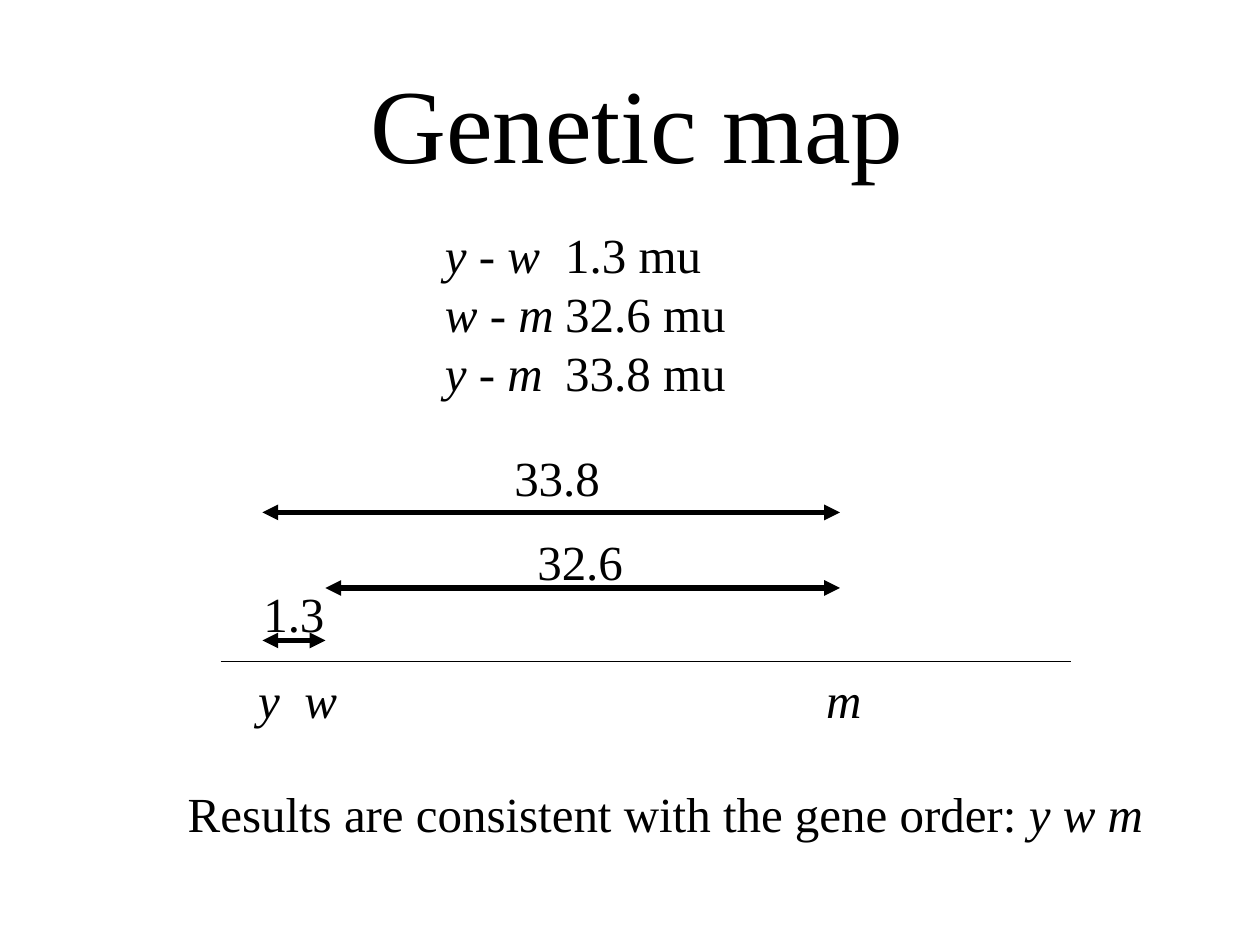
from lxml import etree
from pptx import Presentation, util as u
from pptx.dml.color import RGBColor
from pptx.enum import shapes, text
from pptx.oxml import ns

HUES = {"ink": "000000", "page": "FFFFFF"}
FONT = "Times New Roman"
WIDE, HIGH = 10, 7.5
COLS, ROWS = 120, 90
BODY = 28


def col(n):
    return u.Inches(WIDE * n / COLS)


def row(n):
    return u.Inches(HIGH * n / ROWS)


def hue(name):
    return RGBColor.from_string(HUES[name])


def add_text(slide, box, lines, size=BODY, stops=()):
    x, y, w, h = box
    frame = slide.shapes.add_textbox(col(x), row(y), col(w), row(h)).text_frame
    frame.word_wrap = False
    frame.auto_size = text.MSO_AUTO_SIZE.SHAPE_TO_FIT_TEXT
    for i, runs in enumerate(lines):
        para = frame.add_paragraph() if i else frame.paragraphs[0]
        if stops:
            tabs = etree.SubElement(para._p.get_or_add_pPr(), ns.qn("a:tabLst"))
            for stop in stops:
                etree.SubElement(tabs, ns.qn("a:tab"), pos=str(col(stop)), algn="l")
        for words, slant in runs:
            run = para.add_run()
            run.text = words
            run.font.name = FONT
            run.font.size = u.Pt(size)
            run.font.italic = slant
            run.font.color.rgb = hue("ink")


def add_line(slide, left, right, y, width, heads=False):
    line = slide.shapes.add_connector(
        shapes.MSO_CONNECTOR.STRAIGHT, col(left), row(y), col(right), row(y))
    line.line.color.rgb = hue("ink")
    line.line.width = u.Pt(width)
    if heads:
        for end in ("a:headEnd", "a:tailEnd"):
            etree.SubElement(line.line._get_or_add_ln(), ns.qn(end), type="triangle")
    etree.SubElement(line._element.spPr, ns.qn("a:effectLst"))


def add_list(slide, box):
    pairs = [("y - w", "1.3 mu"), ("w - m", "32.6 mu"), ("y - m", "33.8 mu")]
    lines = [[(pair, True), ("\t" + gap, False)] for pair, gap in pairs]
    add_text(slide, box, lines, stops=[11.45])


def add_map(slide, box):
    x, y, w, h = box
    add_line(slide, x, x + w, y + 21, 0.75)
    add_text(slide, (x + 2.4, y + 21.2, 59.9, 6.8),
             [[("y\tw\tm", True)]], stops=[4.4, 54.1])
    genes = {"y": x + 4, "w": x + 10, "m": x + 59}
    spans = [
        ("y", "w", 19, "1.3", 2.9, 13, 8.6),
        ("w", "m", 14, "32.6", 29, 8, 11),
        ("y", "m", 6.8, "33.8", 26.8, 0, 11),
    ]
    for start, end, down, gap, left, top, wide in spans:
        add_text(slide, (x + left, y + top, wide, 6.8), [[(gap, False)]])
        add_line(slide, genes[start], genes[end], y + down, 3, True)


def main():
    deck = Presentation()
    deck.slide_width, deck.slide_height = u.Inches(WIDE), u.Inches(HIGH)
    slide = deck.slides.add_slide(deck.slide_layouts[6])
    fill = slide.background.fill
    fill.solid()
    fill.fore_color.rgb = hue("page")
    add_text(slide, (34.1, 5, 53.2, 13.2), [[("Genetic map", False)]], size=60)
    add_list(slide, (41.2, 20.8, 29.3, 18))
    add_map(slide, (21, 42, 81, 28))
    add_text(slide, (16.7, 74, 93.4, 6.8), [[
        ("Results are consistent with the gene order: ", False), ("y w m", True)]])
    deck.save("out.pptx")


if __name__ == "__main__":
    main()
